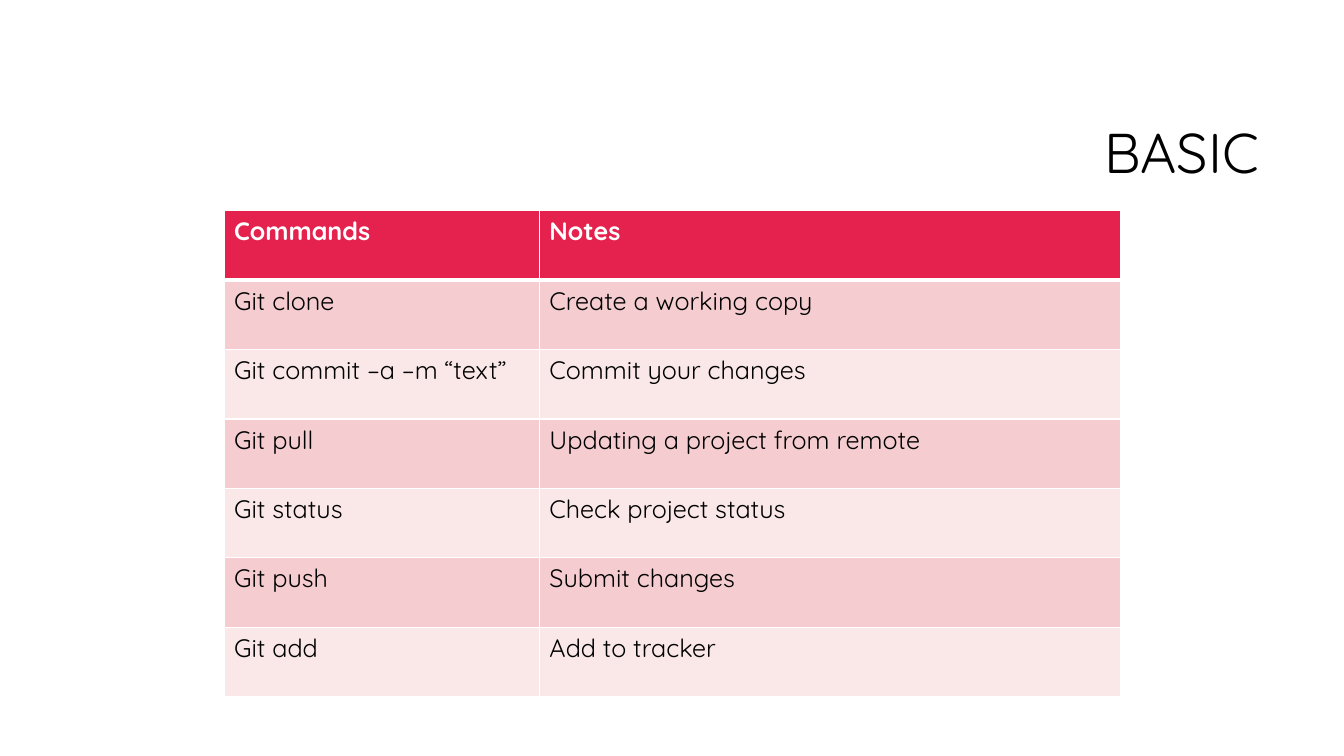
"""Build the slide of basic Git commands."""
from lxml import etree
from pptx import Presentation
from pptx.dml.color import RGBColor
from pptx.enum.text import MSO_ANCHOR, PP_ALIGN
from pptx.oxml.ns import qn
from pptx.util import Pt

RIGHT = PP_ALIGN.RIGHT
MIDDLE = MSO_ANCHOR.MIDDLE
FONT = "Quicksand"
COLORS = {
    "white": "FFFFFF",
    "black": "000000",
    "header": "E5224E",
    "odd": "F5CDD0",
    "even": "FAE8E9",
}
COMMANDS = [
    ("Commands", "Notes"),
    ("Git clone", "Create a working copy"),
    ("Git commit –a –m “text”", "Commit your changes"),
    ("Git pull", "Updating a project from remote"),
    ("Git status", "Check project status"),
    ("Git push", "Submit changes"),
    ("Git add", "Add to tracker"),
]
COLUMN_WIDTHS = [225.3, 414.8]
ROW_HEIGHT = 49.6


def format_text(paragraph, size, color, bold=False):
    for name, value in {"name": FONT, "size": Pt(size), "bold": bold}.items():
        setattr(paragraph.font, name, value)
    paragraph.font.color.rgb = RGBColor.from_string(COLORS[color])


def add_border(cell, side, width):
    line = etree.SubElement(cell._tc.get_or_add_tcPr(), qn(f"a:ln{side}"), w=str(Pt(width)))
    fill = etree.SubElement(line, qn("a:solidFill"))
    etree.SubElement(fill, qn("a:srgbClr"), val=COLORS["white"])


prs = Presentation()
prs.slide_width, prs.slide_height = Pt(960), Pt(540)
slide = prs.slides.add_slide(prs.slide_layouts[5])

title = slide.shapes.title
title_box = {"left": 228.2, "top": 60.5, "width": 678.2, "height": 101.5}
for name, value in title_box.items():
    setattr(title, name, Pt(value))
title.text_frame.text = "BASIC"
title.text_frame.vertical_anchor = MIDDLE
heading = title.text_frame.paragraphs[0]
heading.alignment = RIGHT
heading.line_spacing = 0.9
format_text(heading, 40, "black")

commands_table = slide.shapes.add_table(
    len(COMMANDS), len(COLUMN_WIDTHS), Pt(160), Pt(150.5),
    Pt(sum(COLUMN_WIDTHS)), Pt(ROW_HEIGHT * len(COMMANDS)),
).table
for column, width in zip(commands_table.columns, COLUMN_WIDTHS):
    column.width = Pt(width)

for row, entries in enumerate(COMMANDS):
    commands_table.rows[row].height = Pt(ROW_HEIGHT)
    is_header = row == 0
    band = "header" if is_header else "odd" if row % 2 else "even"
    borders = {"L": 1, "R": 1, "T": 3 if row == 1 else 1, "B": 3 if is_header else 1}
    for col, entry in enumerate(entries):
        cell = commands_table.cell(row, col)
        for side, width in borders.items():
            add_border(cell, side, width)
        cell.fill.solid()
        cell.fill.fore_color.rgb = RGBColor.from_string(COLORS[band])
        cell.text = entry
        format_text(cell.text_frame.paragraphs[0], 18, "white" if is_header else "black", is_header)

prs.save("out.pptx")
